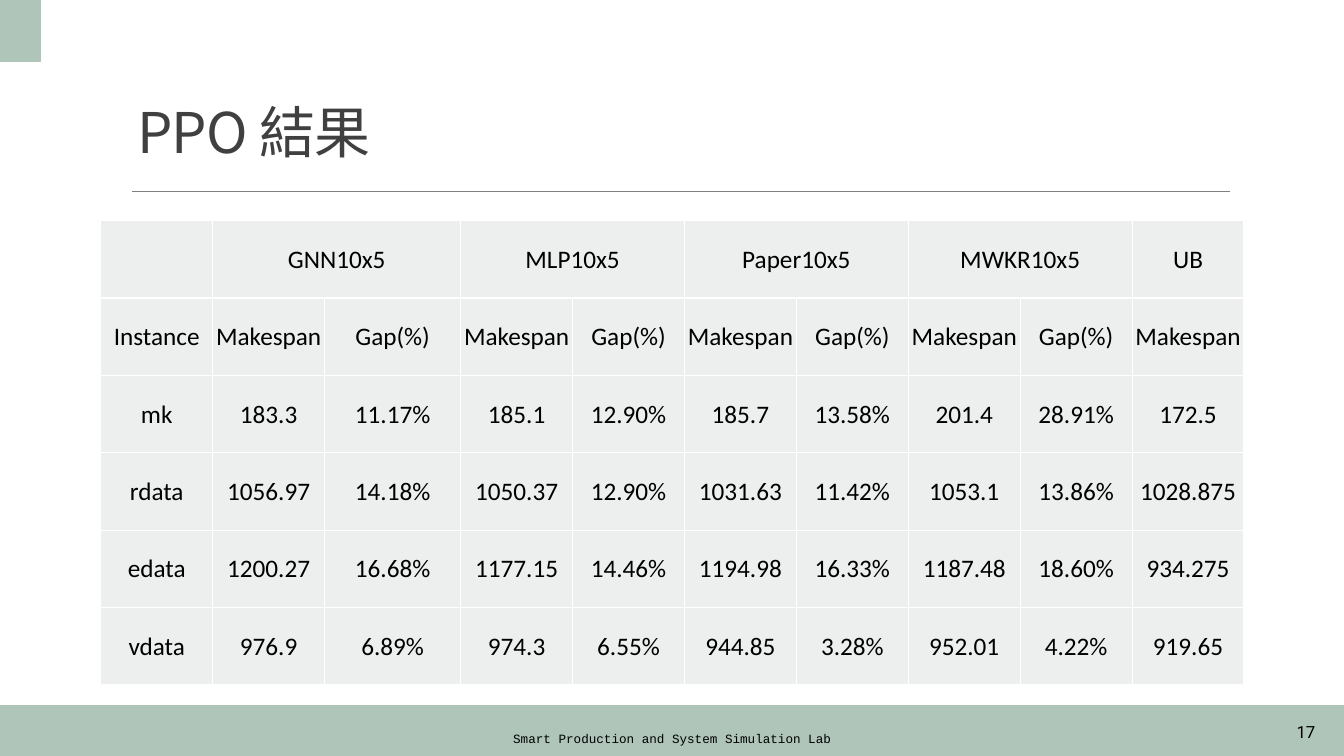
"""Build the slide that compares PPO scheduling results."""
from dataclasses import dataclass

from lxml import etree
from pptx import Presentation
from pptx import util as u
from pptx.dml.color import RGBColor
from pptx.enum import shapes, text
from pptx.oxml import ns

SAGE = RGBColor(0xAF, 0xC5, 0xB9)
PALE = RGBColor(0xEC, 0xEF, 0xED)
WHITE = RGBColor(0xFF, 0xFF, 0xFF)
BLACK = RGBColor(0, 0, 0)
DARK = RGBColor(0x40, 0x40, 0x40)
GRAY = RGBColor(0x80, 0x80, 0x80)

SLIDE_WIDTH, SLIDE_HEIGHT = 33.87, 19.05
TABLE_LEFT, TABLE_TOP = 2.54, 5.56
COLUMN_WIDTH, WIDE_COLUMN_WIDTH, ROW_HEIGHT = 2.82, 3.43, 1.95
WIDE_COLUMN = 2

METHODS = ["GNN10x5", "MLP10x5", "Paper10x5", "MWKR10x5"]
METHOD_ROW = [""] + [label for method in METHODS for label in (method, "")] + ["UB"]
MEASURE_ROW = ["Instance"] + ["Makespan", "Gap(%)"] * len(METHODS) + ["Makespan"]
RESULTS = [
    ["mk", "183.3", "11.17%", "185.1", "12.90%", "185.7", "13.58%", "201.4", "28.91%", "172.5"],
    ["rdata", "1056.97", "14.18%", "1050.37", "12.90%", "1031.63", "11.42%", "1053.1", "13.86%", "1028.875"],
    ["edata", "1200.27", "16.68%", "1177.15", "14.46%", "1194.98", "16.33%", "1187.48", "18.60%", "934.275"],
    ["vdata", "976.9", "6.89%", "974.3", "6.55%", "944.85", "3.28%", "952.01", "4.22%", "919.65"],
]


@dataclass(frozen=True)
class Box:
    """Place and size in centimetres."""
    left: float
    top: float
    width: float
    height: float

    def lengths(self) -> list[u.Length]:
        """Return the four lengths in drawing order."""
        return [u.Cm(value) for value in (self.left, self.top, self.width, self.height)]


@dataclass(frozen=True)
class Label:
    """A line of footer text."""
    wording: str
    box: Box
    size: float
    font: str
    alignment: text.PP_ALIGN


BANDS = [Box(0, 17.78, SLIDE_WIDTH, 1.27), Box(0, 0, 1.02, 1.55)]
LABELS = [
    Label("Smart Production and System Simulation Lab", Box(10.24, 18.26, 13.39, 0.71),
          9, "Courier New", text.PP_ALIGN.CENTER),
    Label("17", Box(29.77, 17.93, 3.63, 1.02), 12, "Roboto", text.PP_ALIGN.RIGHT),
]


def format_paragraph(paragraph, size: float, font: str, color: RGBColor,
                     alignment: text.PP_ALIGN) -> None:
    """Format every run of a paragraph."""
    paragraph.alignment = alignment
    for run in paragraph.runs:
        run.font.size = u.Pt(size)
        run.font.name = font
        run.font.color.rgb = color


def draw_band(slide, box: Box) -> None:
    """Draw a plain coloured band."""
    shape = slide.shapes.add_shape(shapes.MSO_SHAPE.RECTANGLE, *box.lengths())
    shape.shadow.inherit = False
    shape.fill.solid()
    shape.fill.fore_color.rgb = SAGE
    shape.line.color.rgb = SAGE
    shape.line.width = u.Pt(1.25)


def draw_rule(slide) -> None:
    """Draw the thin line below the title."""
    rule = slide.shapes.add_connector(shapes.MSO_CONNECTOR.STRAIGHT,
                                      u.Cm(3.33), u.Cm(4.82), u.Cm(31), u.Cm(4.82))
    rule.line.color.rgb = GRAY
    rule.line.width = u.Pt(0.5)
    etree.SubElement(rule._element.spPr, ns.qn("a:effectLst"))


def draw_title(slide) -> None:
    """Place and format the title placeholder."""
    title = slide.shapes.title
    title.left, title.top, title.width, title.height = Box(3.2, 2.77, 26.57, 1.52).lengths()
    frame = title.text_frame
    frame.text = "PPO 結果"
    frame.auto_size = text.MSO_AUTO_SIZE.NONE
    frame.vertical_anchor = text.MSO_ANCHOR.BOTTOM
    paragraph = frame.paragraphs[0]
    paragraph.line_spacing = 0.85
    format_paragraph(paragraph, 40, "Noto Sans CJK SC", DARK, text.PP_ALIGN.LEFT)
    properties = paragraph.runs[0].font._element
    properties.set("spc", "-50")
    etree.SubElement(properties, ns.qn("a:ea"), typeface="Noto Sans CJK SC")


def draw_label(slide, label: Label) -> None:
    """Draw one footer text."""
    frame = slide.shapes.add_textbox(*label.box.lengths()).text_frame
    frame.word_wrap = True
    frame.vertical_anchor = text.MSO_ANCHOR.MIDDLE
    frame.text = label.wording
    format_paragraph(frame.paragraphs[0], label.size, label.font, BLACK, label.alignment)


def format_cell(cell, wording: str) -> None:
    """Write a cell and give it its borders and fill."""
    cell.text = wording
    cell.vertical_anchor = text.MSO_ANCHOR.MIDDLE
    cell.margin_left = cell.margin_right = cell.margin_top = u.Cm(0.02)
    cell.margin_bottom = 0
    format_paragraph(cell.text_frame.paragraphs[0], 18, "Calibri", BLACK, text.PP_ALIGN.CENTER)
    properties = cell._tc.get_or_add_tcPr()
    for side in ("lnL", "lnR", "lnT", "lnB"):
        border = etree.SubElement(properties, ns.qn(f"a:{side}"), w=str(u.Pt(1)))
        fill = etree.SubElement(border, ns.qn("a:solidFill"))
        etree.SubElement(fill, ns.qn("a:srgbClr"), val=str(WHITE))
    cell.fill.solid()
    cell.fill.fore_color.rgb = PALE


def draw_table(slide) -> None:
    """Draw the table of results."""
    rows = [METHOD_ROW, MEASURE_ROW, *RESULTS]
    widths = [COLUMN_WIDTH] * len(MEASURE_ROW)
    widths[WIDE_COLUMN] = WIDE_COLUMN_WIDTH
    box = Box(TABLE_LEFT, TABLE_TOP, sum(widths), ROW_HEIGHT * len(rows))
    table = slide.shapes.add_table(len(rows), len(widths), *box.lengths()).table
    table.first_row = False
    table.horz_banding = False
    for column, width in zip(table.columns, widths):
        column.width = u.Cm(width)
    for row_index, row in enumerate(rows):
        table.rows[row_index].height = u.Cm(ROW_HEIGHT)
        for column_index, wording in enumerate(row):
            format_cell(table.cell(row_index, column_index), wording)
    for method_index in range(len(METHODS)):
        first = 1 + 2 * method_index
        table.cell(0, first).merge(table.cell(0, first + 1))


def main() -> None:
    """Build and save the presentation."""
    presentation = Presentation()
    presentation.slide_width = u.Cm(SLIDE_WIDTH)
    presentation.slide_height = u.Cm(SLIDE_HEIGHT)
    slide = presentation.slides.add_slide(presentation.slide_layouts[5])
    for band in BANDS:
        draw_band(slide, band)
    draw_rule(slide)
    draw_title(slide)
    for label in LABELS:
        draw_label(slide, label)
    draw_table(slide)
    presentation.save("out.pptx")


if __name__ == "__main__":
    main()
